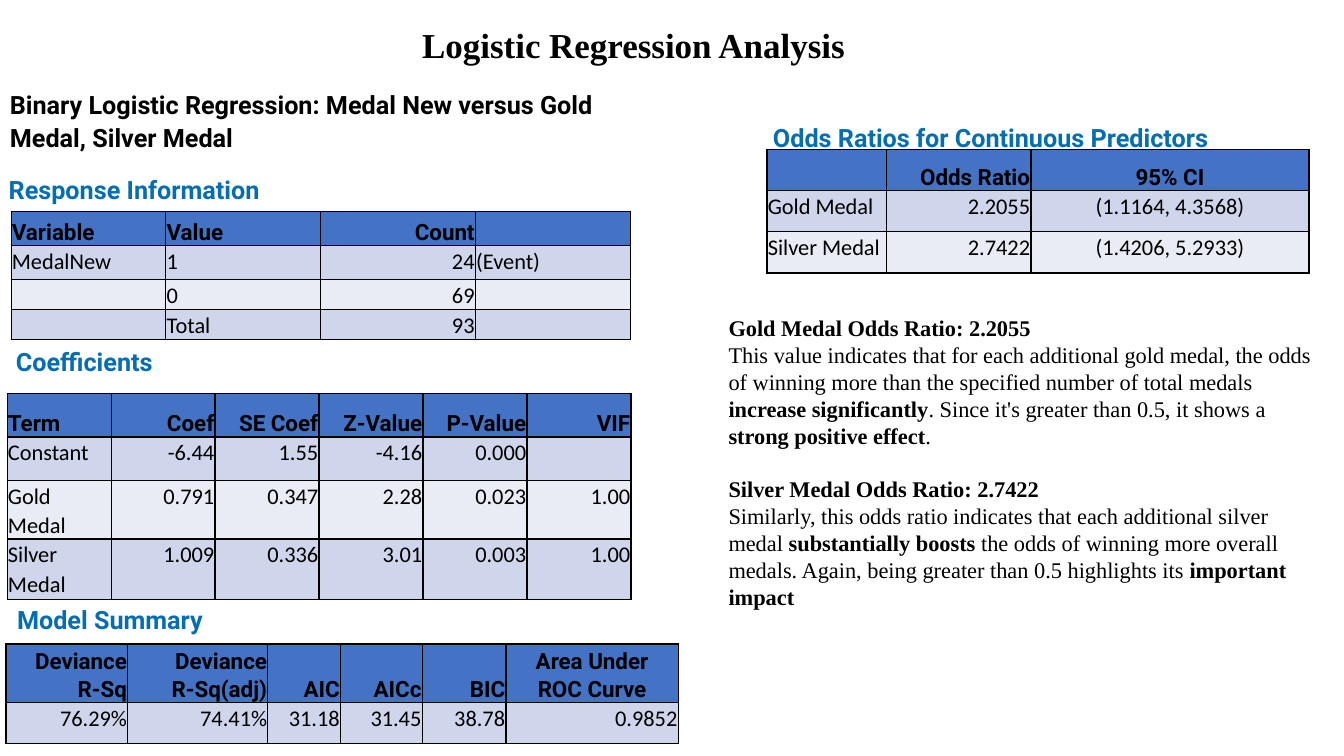
"""Build the logistic regression analysis slide."""
from lxml import etree
from pptx import Presentation
from pptx.dml.color import RGBColor
from pptx.enum.text import MSO_ANCHOR, PP_ALIGN
from pptx.oxml.ns import qn
from pptx.util import Cm, Pt

BLACK = RGBColor(0x00, 0x00, 0x00)
HEADING_BLUE = RGBColor(0x05, 0x6E, 0xB2)
HEADER_FILL = RGBColor(0x44, 0x72, 0xC4)
BAND_FILLS = RGBColor(0xCF, 0xD5, 0xEA), RGBColor(0xE9, 0xEB, 0xF5)
ALIGN = {"l": PP_ALIGN.LEFT, "c": PP_ALIGN.CENTER, "r": PP_ALIGN.RIGHT}
TOP, BOTTOM = MSO_ANCHOR.TOP, MSO_ANCHOR.BOTTOM
SERIF, HEAD, BODY = "Times New Roman", "Roboto", "Calibri"

TITLE = "Logistic Regression Analysis"
SUBTITLE = "Binary Logistic Regression: Medal New versus Gold Medal, Silver Medal"
HEADINGS = [
    ("Response Information", -0.03, 4.22),
    ("Coefficients", 0.15, 8.56),
    ("Odds Ratios for Continuous Predictors", 19.23, 2.9),
    ("Model Summary", 0.18, 15.04),
]
TABLES = [
    {"at": (0.28, 5.33), "cols": [3.9] * 4, "rows": [0.86, 0.86, 0.75, 0.75],
     "align": ("llrl", "llrl"),
     "cells": [("Variable", "Value", "Count", ""),
               ("MedalNew", "1", "24", "(Event)"),
               ("", "0", "69", ""),
               ("", "Total", "93", "")]},
    {"at": (0.18, 9.91), "cols": [2.62] * 6, "rows": [1.1, 1.1, 1.47, 1.52],
     "align": ("lrrrrr", "lrrrrr"),
     "cells": [("Term", "Coef", "SE Coef", "Z-Value", "P-Value", "VIF"),
               ("Constant", "-6.44", "1.55", "-4.16", "0.000", ""),
               ("Gold Medal", "0.791", "0.347", "2.28", "0.023", "1.00"),
               ("Silver Medal", "1.009", "0.336", "3.01", "0.003", "1.00")]},
    {"at": (19.33, 3.76), "cols": [3.02, 3.63, 7.01], "rows": [1.04] * 3,
     "align": ("lrc", "lrc"),
     "cells": [("", "Odds Ratio", "95% CI"),
               ("Gold Medal", "2.2055", "(1.1164, 4.3568)"),
               ("Silver Medal", "2.7422", "(1.4206, 5.2933)")]},
    {"at": (0.15, 16.23), "cols": [3.07, 3.53, 1.83, 2.06, 2.11, 4.34],
     "rows": [1.47, 1.04], "align": ("rrrrrc", "rrrrrr"),
     "cells": [("Deviance\nR-Sq", "Deviance\nR-Sq(adj)", "AIC", "AICc", "BIC",
                "Area Under\nROC Curve"),
               ("76.29%", "74.41%", "31.18", "31.45", "38.78", "0.9852")]},
]
FINDINGS = [
    [("Gold Medal Odds Ratio: 2.2055\n", True),
     ("This value indicates that for each additional gold medal, the odds of "
      "winning more than the specified number of total medals ", False),
     ("increase significantly", True),
     (". Since it's greater than 0.5, it shows a ", False),
     ("strong positive effect", True), (".", False)],
    [("Silver Medal Odds Ratio: 2.7422\n", True),
     ("Similarly, this odds ratio indicates that each additional silver medal ", False),
     ("substantially boosts", True),
     (" the odds of winning more overall medals. Again, being greater than 0.5 "
      "highlights its ", False),
     ("important impact", True)],
]


def write(p, text, size=16, font=BODY, color=BLACK, bold=False, align="l", spacing=1.07):
    p.alignment = ALIGN[align]
    p.line_spacing = spacing
    for i, line in enumerate(text.split("\n")):
        if i:
            p.add_line_break()
        if line:
            r = p.add_run()
            r.text = line
            r.font.size, r.font.name, r.font.bold = Pt(size), font, bold
            r.font.color.rgb = color
    if not text:
        etree.SubElement(p._p, qn("a:endParaRPr"), sz=str(size * 100))


def add_text_frame(s, x, y, w, h):
    tf = s.shapes.add_textbox(Cm(x), Cm(y), Cm(w), Cm(h)).text_frame
    tf.word_wrap = True
    return tf


def add_borders(cell):
    tc_pr = cell._tc.get_or_add_tcPr()
    for side in "LRTB":
        ln = etree.SubElement(tc_pr, qn(f"a:ln{side}"), w=str(Pt(1)))
        fill = etree.SubElement(ln, qn("a:solidFill"))
        etree.SubElement(fill, qn("a:srgbClr"), val=str(BLACK))


def add_table(s, at, cols, rows, align, cells):
    x, y = at
    table = s.shapes.add_table(len(rows), len(cols), Cm(x), Cm(y),
                               Cm(sum(cols)), Cm(sum(rows))).table
    for column, width in zip(table.columns, cols):
        column.width = Cm(width)
    for i, (row, height) in enumerate(zip(table.rows, rows)):
        row.height = Cm(height)
        header = i == 0
        for cell, text, side in zip(row.cells, cells[i], align[0 if header else 1]):
            cell.margin_left = cell.margin_right = cell.margin_top = Cm(0.02)
            cell.margin_bottom = 0
            cell.vertical_anchor = BOTTOM if header else TOP
            add_borders(cell)
            cell.fill.solid()
            cell.fill.fore_color.rgb = HEADER_FILL if header else BAND_FILLS[(i - 1) % 2]
            write(cell.text_frame.paragraphs[0], text, font=HEAD if header else BODY,
                  bold=header, align=side)


def main():
    prs = Presentation()
    prs.slide_width, prs.slide_height = Cm(33.87), Cm(19.05)
    s = prs.slides.add_slide(prs.slide_layouts[6])

    tf = add_text_frame(s, 10.39, 0.46, 16.94, 1.32)
    write(tf.paragraphs[0], TITLE, size=25, font=SERIF, bold=True, spacing=1.0)
    tf = add_text_frame(s, 0, 2.08, 16.94, 2.67)
    write(tf.paragraphs[0], SUBTITLE, size=18, font=HEAD, bold=True)

    for table in TABLES:
        add_table(s, **table)
    for text, x, y in HEADINGS:
        tf = add_text_frame(s, x, y, 17, 1.04)
        write(tf.paragraphs[0], text, size=18, font=HEAD, color=HEADING_BLUE, bold=True)

    tf = add_text_frame(s, 18.11, 7.8, 15.6, 7.77)
    for i, finding in enumerate(FINDINGS):
        p = tf.add_paragraph() if i else tf.paragraphs[0]
        p.space_before = Pt(19 if i else 0)
        for text, bold in finding:
            write(p, text, font=SERIF, bold=bold, spacing=1.0)

    prs.save("out.pptx")


if __name__ == "__main__":
    main()
